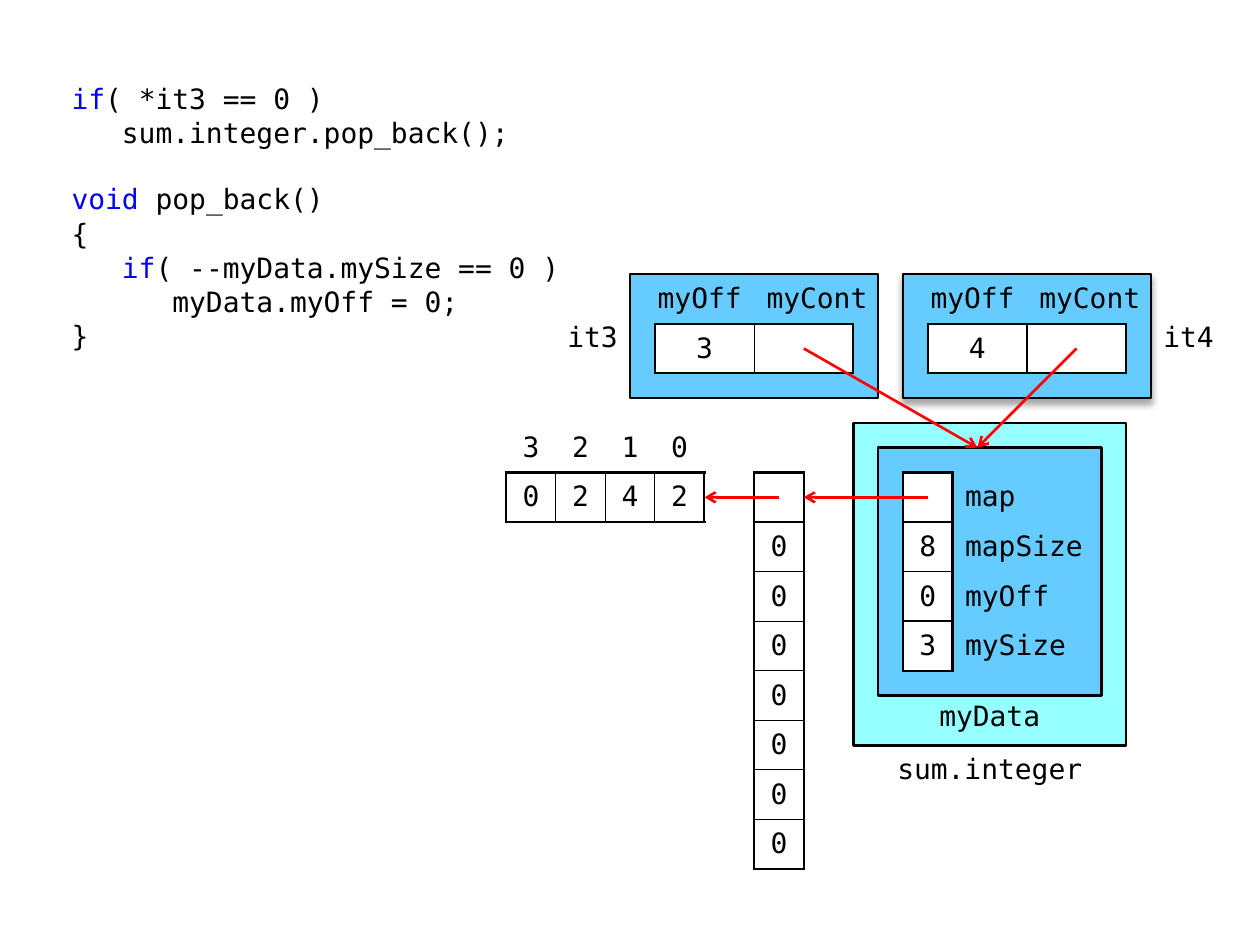
from lxml import etree
from pptx import Presentation, util as u
from pptx.dml import color
from pptx.enum import shapes, text
from pptx.oxml import ns

COLORS = {"ink": "000000", "keyword": "0000FF", "arrow": "FF0000",
          "paper": "FFFFFF", "object": "96FFFF", "data": "66CCFF"}
FONT = "DejaVu Sans Mono"
SIZE = 16
GRID = 1 / 2.54
ORIGIN = (0.08, 0.01)
TAB = 0.4
NO_STYLE = "{2D5ABB26-0587-4C30-8999-92F81FD0307C}"
ALIGN = {"left": text.PP_ALIGN.LEFT, "center": text.PP_ALIGN.CENTER,
         "right": text.PP_ALIGN.RIGHT}

CODE = [
    (0, 0, "if", "( *it3 == 0 )"),
    (1, 0, "", "sum.integer.pop_back();"),
    (0, 18.8, "void", " pop_back()"),
    (0, 0.4, "", "{"),
    (1, 0.4, "if", "( --myData.mySize == 0 )"),
    (2, 0.4, "", "myData.myOff = 0;"),
    (0, 0.4, "", "}"),
]
ITERATORS = [
    {"name": "it3", "offset": "3", "left": 12.5, "name_left": 11,
     "align": "right", "shadow": False},
    {"name": "it4", "offset": "4", "left": 18, "name_left": 23,
     "align": "left", "shadow": True},
]
MEMBERS = [["", "map"], ["8", "mapSize"], ["0", "myOff"], ["3", "mySize"]]
BLOCK = [["3", "2", "1", "0"], ["0", "2", "4", "2"]]
MAP = [[""]] + [["0"]] * 7
ARROWS = [((15.5, 10), (14, 10)), ((18.5, 10), (16, 10)),
          ((16, 7), (19.5, 9)), ((21.5, 7), (19.5, 9))]


def place(x, y):
    return u.Inches(ORIGIN[0] + x * GRID), u.Inches(ORIGIN[1] + y * GRID)


def extent(*cells):
    return [u.Inches(cell * GRID) for cell in cells]


def rgb(name):
    return color.RGBColor.from_string(COLORS[name])


def add_element(parent, tag, **attributes):
    return etree.SubElement(parent, ns.qn(tag), attributes)


def write(paragraph, content, ink="ink", align="left"):
    paragraph.alignment = ALIGN[align]
    if content:
        run = paragraph.add_run()
        run.text = content
        run.font.name, run.font.size = FONT, u.Pt(SIZE)
        run.font.color.rgb = rgb(ink)


def add_code(slide):
    box = slide.shapes.add_textbox(*[u.Inches(n) for n in (0.47, 0.6, 4.13, 2.17)])
    frame = box.text_frame
    frame.word_wrap = True
    for index, (level, gap, keyword, rest) in enumerate(CODE):
        paragraph = frame.add_paragraph() if index else frame.paragraphs[0]
        paragraph.space_before = u.Pt(gap)
        write(paragraph, keyword, ink="keyword")
        write(paragraph, rest)
        properties = paragraph._p.get_or_add_pPr()
        properties.set("marL", str(u.Inches(level * TAB)))
        properties.set("indent", "0")


def add_label(slide, content, x, y, width, height=1, align="left", top=0.05, middle=False):
    box = slide.shapes.add_textbox(*place(x, y), *extent(width, height))
    frame = box.text_frame
    frame.word_wrap = True
    frame.margin_left = u.Inches(0.1 if align == "left" else 0.04)
    frame.margin_right = u.Inches(0.1 if align == "right" else 0.04)
    frame.margin_top, frame.margin_bottom = u.Inches(top), u.Inches(0.04)
    frame.vertical_anchor = text.MSO_ANCHOR.MIDDLE if middle else text.MSO_ANCHOR.TOP
    write(frame.paragraphs[0], content, align=align)


def add_box(slide, x, y, width, height, fill, shadow=False):
    box = slide.shapes.add_shape(shapes.MSO_SHAPE.FLOWCHART_PROCESS,
                                 *place(x, y), *extent(width, height))
    box.shadow.inherit = False
    box.fill.solid()
    box.fill.fore_color.rgb = rgb(fill)
    box.line.color.rgb = rgb("ink")
    box.line.width = u.Pt(1.5)
    if shadow:
        effects = box._element.spPr.find(ns.qn("a:effectLst"))
        outer = add_element(effects, "a:outerShdw", blurRad=str(u.Pt(4)),
                            dist=str(u.Pt(3)), dir="5400000", rotWithShape="0")
        tint = add_element(outer, "a:srgbClr", val=COLORS["ink"])
        add_element(tint, "a:alpha", val="35000")


def add_border(cell, side, width):
    line = add_element(cell._tc.get_or_add_tcPr(), f"a:ln{side}", w=str(u.Pt(width)))
    add_element(add_element(line, "a:solidFill"), "a:srgbClr", val=COLORS["ink"])


def add_cells(slide, rows, x, y, widths, first_row=0, framed_columns=None, inner=0.75):
    last_row = len(rows) - 1
    last_column = (framed_columns or len(widths)) - 1
    graphic = slide.shapes.add_table(len(rows), len(widths), *place(x, y),
                                     *extent(sum(widths), len(rows)))
    table = graphic.table
    table.first_row = table.horz_banding = False
    table._tbl.tblPr.find(ns.qn("a:tableStyleId")).text = NO_STYLE
    for column, width in zip(table.columns, extent(*widths)):
        column.width = width
    for r, row in enumerate(rows):
        table.rows[r].height = extent(1)[0]
        for c, content in enumerate(row):
            cell = table.cell(r, c)
            framed = r >= first_row and c <= last_column
            label = c > last_column
            cell.margin_top = cell.margin_bottom = u.Inches(0.04)
            cell.margin_left = cell.margin_right = u.Inches(0.1 if label else 0.04)
            cell.vertical_anchor = text.MSO_ANCHOR.MIDDLE
            write(cell.text_frame.paragraphs[0], content,
                  align="left" if label else "center")
            if framed:
                edges = {"L": c == 0, "R": c == last_column,
                         "T": r == first_row, "B": r == last_row}
                for side, outer in edges.items():
                    add_border(cell, side, 1.5 if outer else inner)
                cell.fill.solid()
                cell.fill.fore_color.rgb = rgb("paper")
            else:
                cell.fill.background()


def add_arrow(slide, start, end):
    arrow = slide.shapes.add_connector(shapes.MSO_CONNECTOR.STRAIGHT,
                                       *place(*start), *place(*end))
    arrow.line.color.rgb = rgb("arrow")
    arrow.line.width = u.Pt(1.5)
    add_element(arrow.line._get_or_add_ln(), "a:tailEnd", type="arrow")
    add_element(arrow._element.spPr, "a:effectLst")


def add_iterator(slide, iterator):
    left = iterator["left"]
    add_box(slide, left, 5.5, 5, 2.5, "data", iterator["shadow"])
    add_cells(slide, [[iterator["offset"], ""]], left + 0.5, 6.5, [2, 2])
    add_label(slide, "myOff", left, 5.5, 2.5, align="right")
    add_label(slide, "myCont", left + 2.5, 5.5, 2.5)
    add_label(slide, iterator["name"], iterator["name_left"], 6, 1.5, 1.5,
              align=iterator["align"], top=0.04, middle=True)


def main():
    presentation = Presentation()
    presentation.slide_width, presentation.slide_height = u.Inches(10), u.Inches(7.5)
    slide = presentation.slides.add_slide(presentation.slide_layouts[6])
    add_code(slide)
    add_cells(slide, MAP, 15, 9.5, [1])
    add_cells(slide, BLOCK, 10, 8.5, [1] * 4, first_row=1)
    add_box(slide, 17, 8.5, 5.5, 6.5, "object")
    for iterator in reversed(ITERATORS):
        add_iterator(slide, iterator)
    add_box(slide, 17.5, 9, 4.5, 5, "data")
    add_label(slide, "myData", 18.5, 14, 2.5, align="center", top=0.02)
    add_label(slide, "sum.integer", 17.5, 15, 4.5, align="center")
    add_cells(slide, MEMBERS, 18, 9.5, [1, 3], framed_columns=1, inner=1)
    for start, end in ARROWS:
        add_arrow(slide, start, end)
    presentation.save("out.pptx")


if __name__ == "__main__":
    main()
